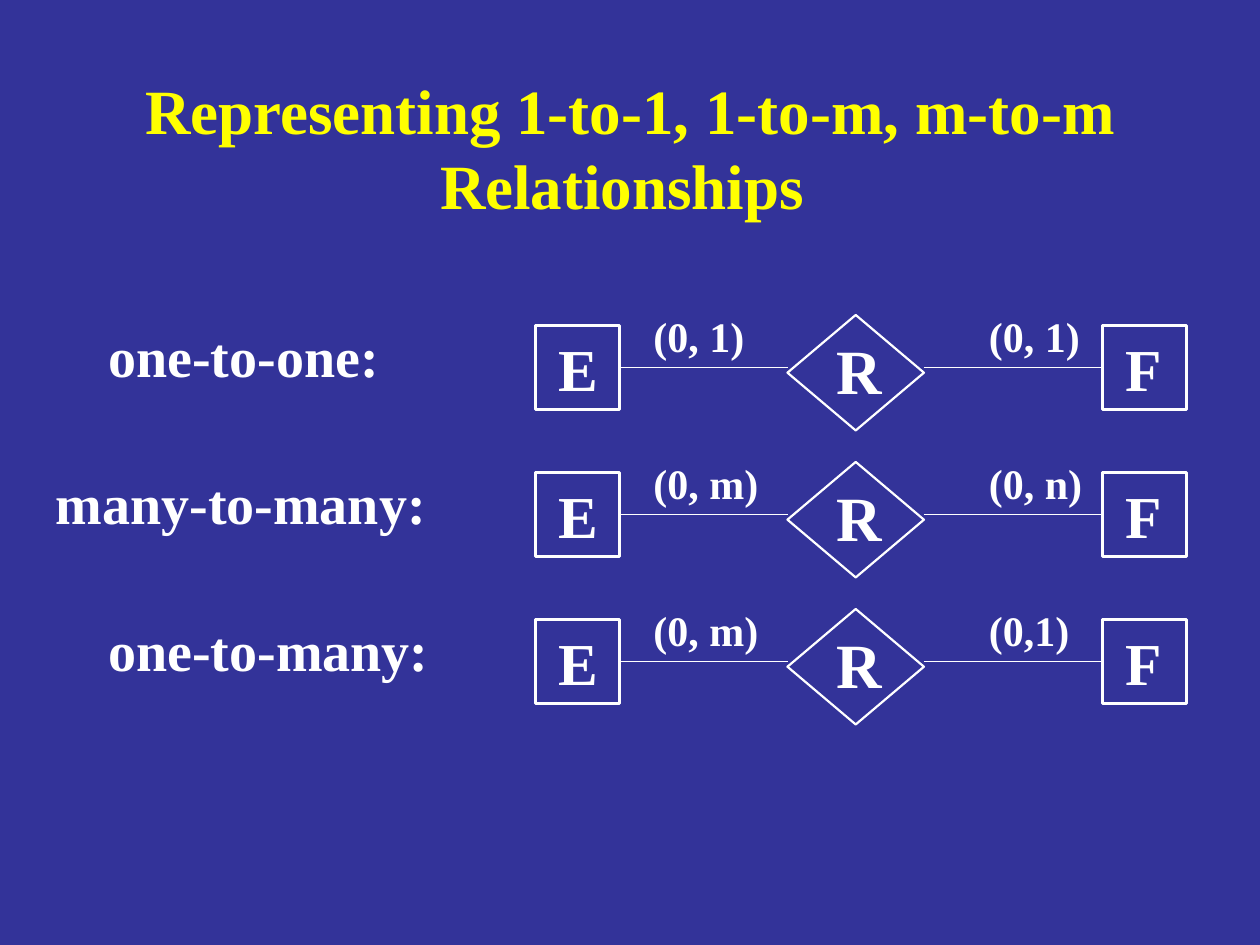
from lxml import etree
from pptx import Presentation
from pptx.dml.color import RGBColor
from pptx.enum import shapes, text
from pptx.oxml.ns import qn
from pptx.util import Pt

COLORS = {"background": "333399", "title": "FFFF00", "ink": "FFFFFF"}
FONT = "Times New Roman"
ROW_TOP, ROW_PITCH = 180, 84
ENTITY_SIZE = 48
INK = RGBColor.from_string(COLORS["ink"])

prs = Presentation()
prs.slide_width, prs.slide_height = Pt(720), Pt(540)
slide = prs.slides.add_slide(prs.slide_layouts[6])
slide.background.fill.solid()
slide.background.fill.fore_color.rgb = RGBColor.from_string(COLORS["background"])


def add_label(lines, left, top, width, height, size, color="ink", wrap=False):
    """Add a bold text box whose lines share one paragraph; return its frame."""
    frame = slide.shapes.add_textbox(Pt(left), Pt(top), Pt(width), Pt(height)).text_frame
    frame.word_wrap = wrap
    paragraph = frame.paragraphs[0]
    for index, line in enumerate(lines):
        if index:
            paragraph.add_line_break()
        run = paragraph.add_run()
        run.text = line
        run.font.name = FONT
        run.font.size = Pt(size)
        run.font.bold = True
        run.font.color.rgb = RGBColor.from_string(COLORS[color])
    return frame


def add_outline(kind, left, top, width, height):
    outline = slide.shapes.add_shape(kind, Pt(left), Pt(top), Pt(width), Pt(height))
    outline.shadow.inherit = False
    outline.fill.background()
    outline.line.color.rgb = INK
    outline.line.width = Pt(1.25)
    return outline


title = add_label(["Representing 1-to-1, 1-to-m, m-to-m", "Relationships "],
                  36, 30, 648, 108, 36, "title", wrap=True)
title.vertical_anchor = text.MSO_ANCHOR.MIDDLE
title.paragraphs[0].alignment = text.PP_ALIGN.CENTER

# Name, its left edge and width, then the cardinalities beside E and F
relationships = [
    ("one-to-one:", 54.7, 174, "(0, 1)", "(0, 1)"),
    ("many-to-many:", 24.7, 232, "(0, m)", "(0, n)"),
    ("one-to-many:", 54.7, 203, "(0, m)", "(0,1)"),
]

for row, (name, name_left, name_width, e_count, f_count) in enumerate(relationships):
    top = ROW_TOP + row * ROW_PITCH
    entity_top = top + 6
    line_y = entity_top + ENTITY_SIZE / 2

    add_label([name], name_left, top, name_width, 46, 32)
    add_outline(shapes.MSO_SHAPE.DIAMOND, 450, top, 78, 66)
    entity_e, entity_f = [
        add_outline(shapes.MSO_SHAPE.RECTANGLE, left, entity_top, ENTITY_SIZE, ENTITY_SIZE)
        for left in (306, 630)
    ]
    add_label(["E"], 312.2, entity_top, 40, 48, 34)
    add_label(["R"], 471, entity_top, 44, 50, 36)
    add_label(["F"], 636, entity_top, 38, 48, 34)
    for count, left in ((e_count, 366.3), (f_count, 558)):
        add_label([count], left, top - 6, 80, 36, 24)

    links = []
    for start, end in ((354, 450), (528, 630)):
        link = slide.shapes.add_connector(
            shapes.MSO_CONNECTOR.STRAIGHT, Pt(start), Pt(line_y), Pt(end), Pt(line_y))
        link.line.color.rgb = INK
        link.line.width = Pt(0.75)
        etree.SubElement(link._element.spPr, qn("a:effectLst"))
        links.append(link)
    links[0].begin_connect(entity_e, 3)
    links[1].end_connect(entity_f, 1)

prs.save("out.pptx")
